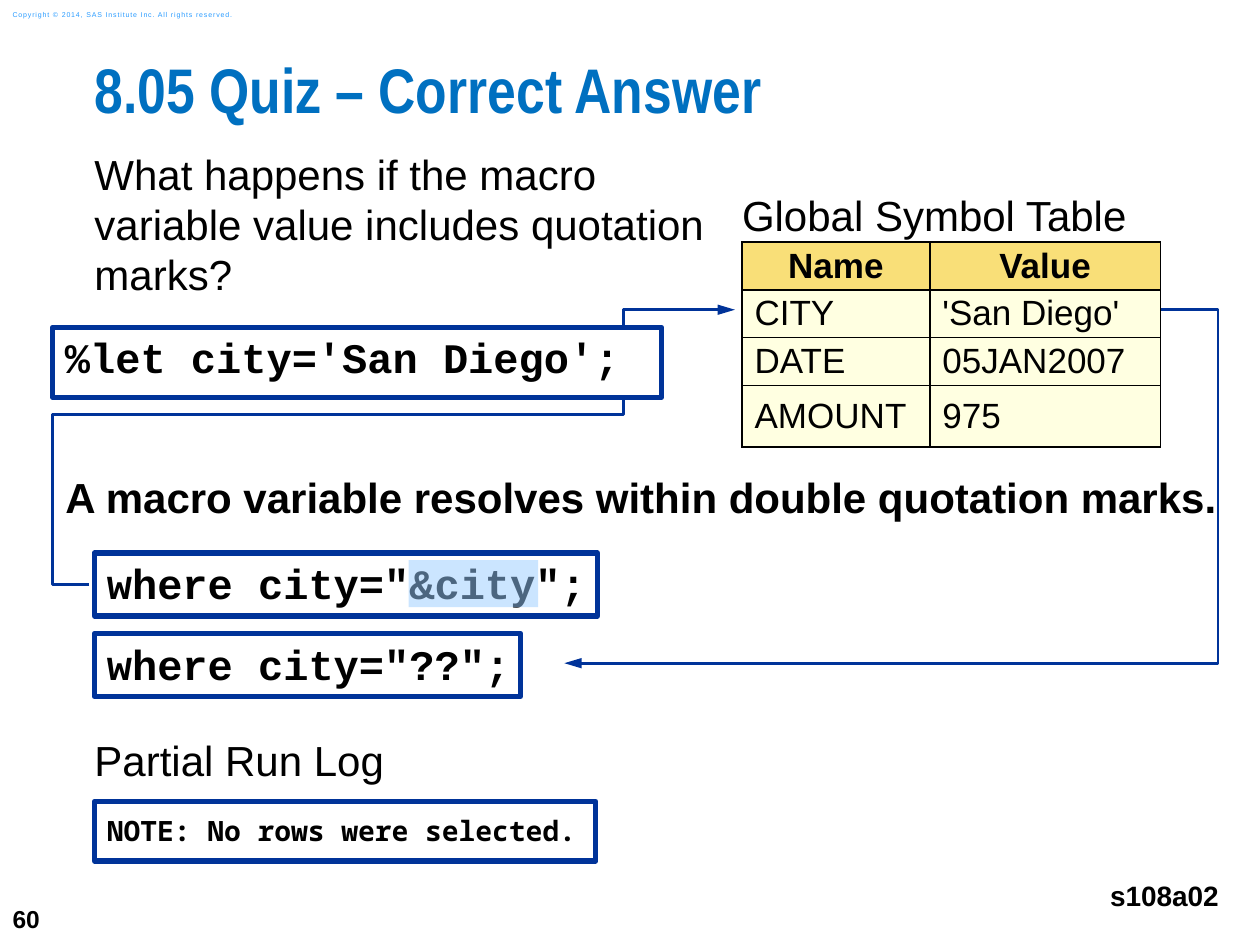
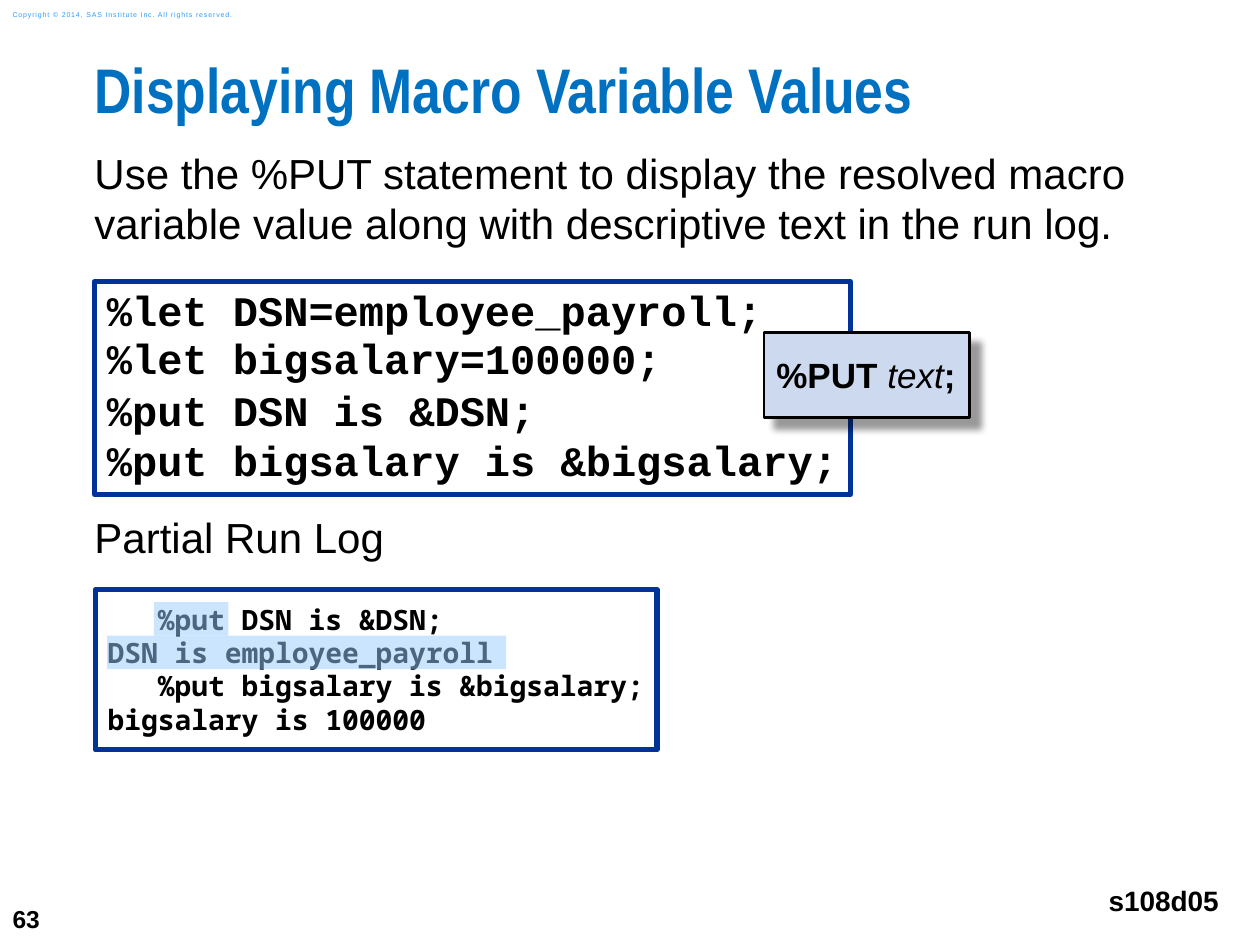
import pptx
import pptx.util
import pptx.dml.color
import pptx.enum.shapes
import pptx.enum.text
import pptx.oxml.ns
from lxml import etree

Pt = pptx.util.Pt
PP_ALIGN = pptx.enum.text.PP_ALIGN
ANCHOR = pptx.enum.text.MSO_ANCHOR
COLORS = {
    "text": "000000", "title": "0070C0", "copyright": "2A9CFF",
    "frame": "003399", "paper": "FFFFFF", "highlight": "99CCFF",
    "callout": "CDD9EF", "header": "F9DF78", "cell": "FFFFE1",
}
LEFT = 54
LINE = 1.19  # line height as a share of the font size
CODE, LOG = "Courier New", "Noto Sans Mono"
LOG_LABEL = "Partial Run Log"


def rgb(name):
    return pptx.dml.color.RGBColor.from_string(COLORS[name])


def sub(parent, tag, **attrs):
    el = etree.SubElement(parent, pptx.oxml.ns.qn("a:" + tag))
    for key, value in attrs.items():
        el.set(key, str(value))
    return el


def add_run(p, text, size, font="Arial", color="text", bold=False, italic=False):
    r = p.add_run()
    r.text = text
    r.font.size, r.font.name = Pt(size), font
    r.font.bold, r.font.italic = bold, italic
    r.font.color.rgb = rgb(color)
    return r


def set_frame(tf, insets=(0, 0, 0, 0), anchor=ANCHOR.TOP):
    tf.word_wrap = True
    tf.vertical_anchor = anchor
    tf.margin_left, tf.margin_top, tf.margin_right, tf.margin_bottom = map(Pt, insets)


def add_text(s, box, text, size, align=PP_ALIGN.LEFT, anchor=ANCHOR.TOP,
             spacing=None, **style):
    tf = s.shapes.add_textbox(*map(Pt, box)).text_frame
    set_frame(tf, anchor=anchor)
    p = tf.paragraphs[0]
    p.alignment = align
    if spacing:
        p.line_spacing = spacing
    return add_run(p, text, size, **style)


def add_body(s, top, text, width=618):
    add_text(s, (LEFT, top, width, 30), text, 24, spacing=Pt(24 * LINE))


def add_rect(s, box, fill, line=None, weight=3):
    sp = s.shapes.add_shape(pptx.enum.shapes.MSO_SHAPE.RECTANGLE, *map(Pt, box))
    sp.shadow.inherit = False
    sp.fill.solid()
    sp.fill.fore_color.rgb = rgb(fill)
    if line:
        sp.line.color.rgb = rgb(line)
        sp.line.width = Pt(weight)
    else:
        sp.line.fill.background()
    return sp


def add_code(s, box, lines, size, font, top_inset, spacings=(1,)):
    """Framed code; spacings holds one line-height factor per line, the last one repeating."""
    sp = add_rect(s, box, "paper", "frame")
    tf = sp.text_frame
    set_frame(tf, (7.2, top_inset, 3.6, 0))
    for i, line in enumerate(lines):
        p = tf.add_paragraph() if i else tf.paragraphs[0]
        p.alignment = PP_ALIGN.LEFT
        p.line_spacing = Pt(size * LINE * spacings[min(i, len(spacings) - 1)])
        add_run(p, line, size, font, bold=True)


def add_highlight(s, box):
    sp = add_rect(s, box, "highlight")
    color = sp._element.spPr.find(".//" + pptx.oxml.ns.qn("a:srgbClr"))
    sub(color, "alpha", val=50000)


def add_path_arrow(s, points):
    """Open angled line with an arrowhead at its last point."""
    pts = [(Pt(x), Pt(y)) for x, y in points]
    builder = s.shapes.build_freeform(*pts[0])
    builder.add_line_segments(pts[1:], close=False)
    sp = builder.convert_to_shape()
    sp.shadow.inherit = False
    sp.fill.background()
    sp.line.color.rgb = rgb("frame")
    sp.line.width = Pt(1.5)
    sub(sp.line._get_or_add_ln(), "tailEnd", type="triangle", w="med", len="lg")


def add_callout(s, box, runs):
    sp = add_rect(s, box, "callout", "text", 1.5)
    effects = sp._element.spPr.find(pptx.oxml.ns.qn("a:effectLst"))
    shadow = sub(effects, "outerShdw", blurRad=Pt(4), dist=Pt(8.5), dir=45 * 60000)
    sub(sub(shadow, "srgbClr", val=COLORS["text"]), "alpha", val=40000)
    set_frame(sp.text_frame, (7.2, 0, 3.6, 0), ANCHOR.MIDDLE)
    p = sp.text_frame.paragraphs[0]
    p.alignment = PP_ALIGN.LEFT
    for text, style in runs:
        add_run(p, text, 20, **style)


def set_borders(cell, visible):
    """Black lines on the sides named in visible, none on the others."""
    tcPr = cell._tc.get_or_add_tcPr()
    for i, side in enumerate("LRTB"):
        ln = etree.Element(pptx.oxml.ns.qn("a:ln" + side), w=str(Pt(1)))
        if side in visible:
            sub(sub(ln, "solidFill"), "srgbClr", val=COLORS["text"])
        else:
            sub(ln, "noFill")
        tcPr.insert(i, ln)


def fill_cell(cell, text, size, fill, inset, borders, bold=False):
    cell.fill.solid()
    cell.fill.fore_color.rgb = rgb(fill)
    cell.vertical_anchor = ANCHOR.MIDDLE
    cell.margin_left = cell.margin_right = Pt(inset)
    cell.margin_top = cell.margin_bottom = 0
    p = cell.text_frame.paragraphs[0]
    p.alignment = PP_ALIGN.CENTER if bold else PP_ALIGN.LEFT
    if text:
        add_run(p, text, size, bold=bold)
    set_borders(cell, borders)


def add_symbol_table(s, left, top, title, rows, widths, heights):
    frame = s.shapes.add_table(len(rows) + 1, len(widths), Pt(left), Pt(top),
                               Pt(sum(widths)), Pt(sum(heights)))
    table = frame.table
    table.first_row = table.horz_banding = False
    for col, width in zip(table.columns, widths):
        col.width = Pt(width)
    for row, height in zip(table.rows, heights):
        row.height = Pt(height)
    table.cell(0, 0).merge(table.cell(0, len(widths) - 1))
    for c in range(len(widths)):
        fill_cell(table.cell(0, c), "" if c else title, 24, "paper", 0, "B")
    for r, row in enumerate(rows, 1):
        for c, text in enumerate(row):
            fill_cell(table.cell(r, c), text, 20, "header" if r == 1 else "cell",
                      7.2, "LRTB", bold=r == 1)


def add_slide(prs, title, number, program, program_top):
    s = prs.slides.add_slide(prs.slide_layouts[6])
    add_text(s, (7.2, 510, 34, 30), number, 14, anchor=ANCHOR.MIDDLE, bold=True)
    r = add_text(s, (7.2, 2.4, 140, 12),
                 "Copyright © 2014, SAS Institute Inc. All rights reserved.", 4,
                 anchor=ANCHOR.MIDDLE, color="copyright")
    r._r.get_or_add_rPr().set("spc", "50")
    add_text(s, (LEFT, 36, 666, 53), title, 36, spacing=0.83,
             font="Arial Narrow", color="title", bold=True)
    add_text(s, (600, program_top, 96.4, 20), program, 16,
             align=PP_ALIGN.RIGHT, bold=True)
    return s


def build_quiz(prs):
    s = add_slide(prs, "8.05 Quiz – Correct Answer", "60", "s108a02", 502)
    add_body(s, 85, "What happens if the macro variable value includes quotation marks?", 360)
    add_body(s, 420, LOG_LABEL)
    add_path_arrow(s, [(51, 334), (30, 334), (30, 237), (356.5, 237),
                       (356.5, 177), (420, 177)])
    add_path_arrow(s, [(662.5, 177), (696, 177), (696, 379), (322.5, 379)])
    add_symbol_table(s, 424, 109.5, "Global Symbol Table",
                     [("Name", "Value"), ("CITY", "'San Diego'"),
                      ("DATE", "05JAN2007"), ("AMOUNT", "975")],
                     (107.3, 131.8), (28.8, 27.3, 27.3, 27.3, 35.3))
    for box, line in (((LEFT, 362, 243.5, 36), 'where city="??";'),
                      ((LEFT, 316, 287.5, 36), 'where city="&city";'),
                      ((30, 187, 348, 40), "%let city='San Diego';")):
        add_code(s, box, [line], 24, CODE, 7.2, (0.85,))
    add_highlight(s, (233.5, 320, 74, 27))
    add_code(s, (LEFT, 458, 286.5, 34), ["NOTE: No rows were selected."], 16, LOG, 7.2)
    add_text(s, (37.4, 269.2, 680, 28),
             "A macro variable resolves within double quotation marks.", 24, bold=True)


def build_put(prs):
    s = add_slide(prs, "Displaying Macro Variable Values", "63", "s108d05", 505)
    add_body(s, 84.5, "Use the %PUT statement to display the resolved macro "
                      "variable value along with descriptive text in the run log.")
    add_body(s, 292.5, LOG_LABEL)
    add_code(s, (LEFT, 161, 432, 121.5),
             ["%let DSN=employee_payroll;", "%let bigsalary=100000;",
              "%put DSN is &DSN;", "%put bigsalary is &bigsalary;"],
             24, CODE, 3.5, (0.95, 0.95, 1.04, 1))
    add_callout(s, (436.5, 190, 117.5, 48.5),
                [("%PUT ", {"bold": True}), ("text", {"italic": True}),
                 (";", {"bold": True})])
    add_code(s, (54.5, 337, 321, 91.5),
             ["   %put DSN is &DSN;", "DSN is employee_payroll",
              "   %put bigsalary is &bigsalary;", "bigsalary is 100000"],
             16, LOG, 7.2)
    add_highlight(s, (88, 344, 42.5, 19.2))
    add_highlight(s, (61.2, 363.2, 228, 19.2))


def main():
    prs = pptx.Presentation()
    prs.slide_width, prs.slide_height = Pt(720), Pt(540)
    build_quiz(prs)
    build_put(prs)
    prs.save("out.pptx")


if __name__ == "__main__":
    main()
